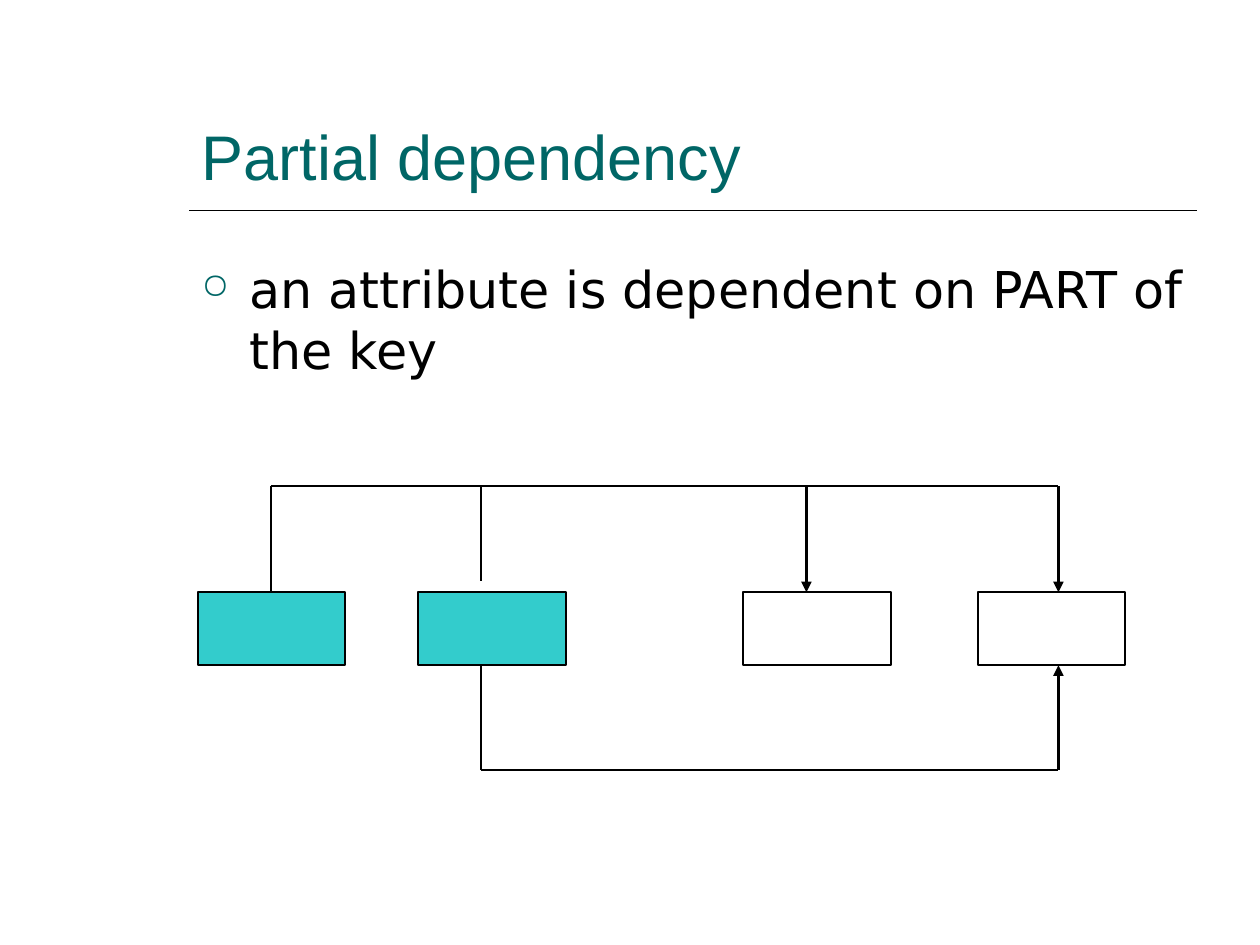
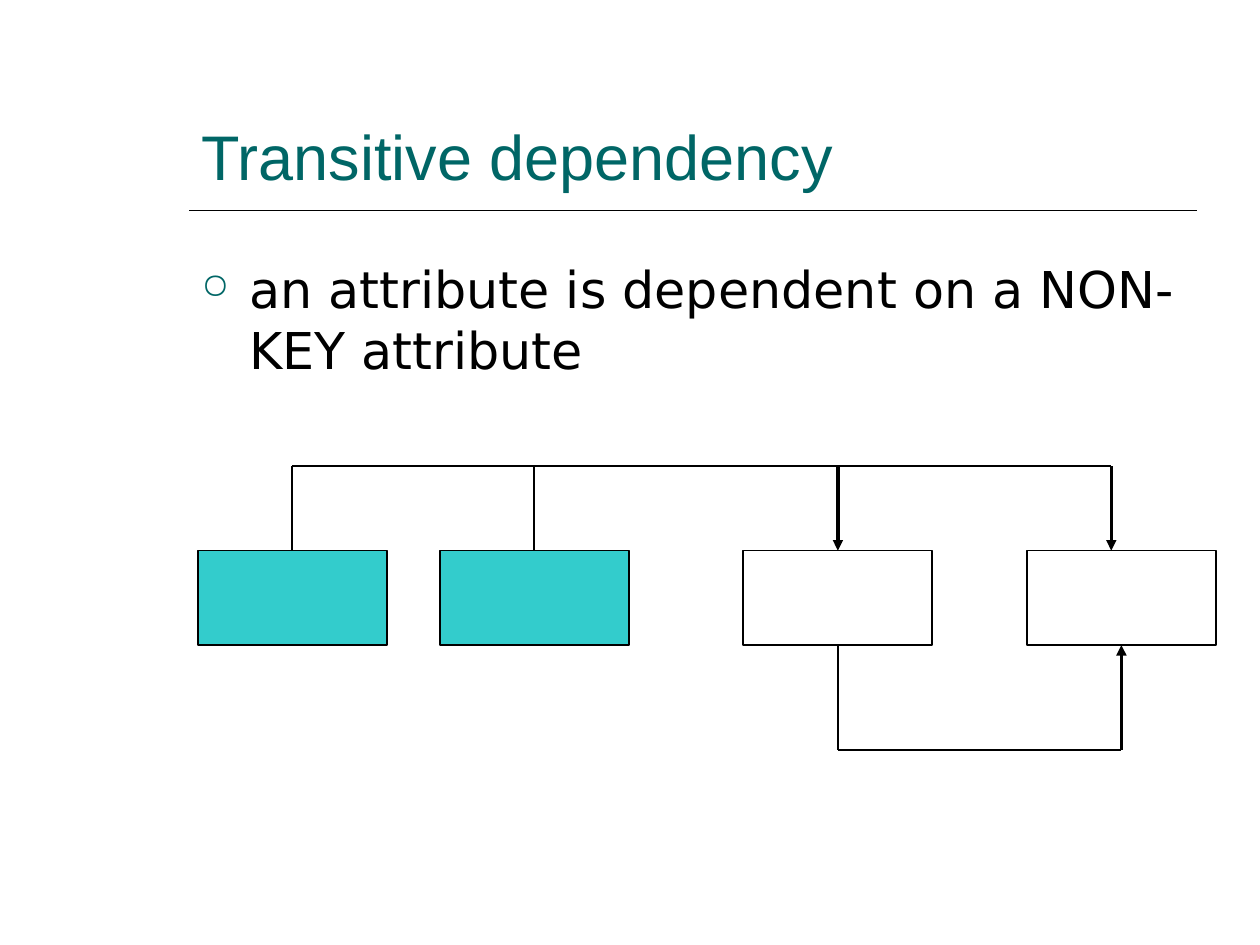
from lxml.etree import SubElement as Sub
from pptx import Presentation
from pptx.dml.color import RGBColor as RGB
from pptx.enum.shapes import MSO_CONNECTOR as Link, MSO_SHAPE as Form
from pptx.enum.text import MSO_ANCHOR as Anchor, MSO_AUTO_SIZE as Fit, PP_ALIGN as Align
from pptx.oxml.ns import qn
from pptx.util import Inches, Pt

TEAL, AQUA, BLACK = "006666", "33CCCC", "000000"


def write(frame, text, size=29, font="DejaVu Sans", color=BLACK, anchor=Anchor.TOP, before=0, bullet=None):
    frame.word_wrap = True
    frame.auto_size = Fit.NONE
    frame.vertical_anchor = anchor
    para = frame.paragraphs[0]
    para.alignment = Align.LEFT
    para.space_before = Pt(before)
    run = para.add_run()
    run.text = text
    run.font.size = Pt(size)
    run.font.name = font
    run.font.color.rgb = RGB.from_string(color)
    if bullet:
        props = para._p.get_or_add_pPr()
        props.set("marL", str(Inches(0.38)))
        props.set("indent", str(-Inches(0.38)))
        Sub(Sub(props, qn("a:buClr")), qn("a:srgbClr"), val=TEAL)
        Sub(props, qn("a:buSzPct"), val="70000")
        Sub(props, qn("a:buChar"), char=bullet)


def draw(slide, x1, y1, x2, y2, arrow=False):
    line = slide.shapes.add_connector(Link.STRAIGHT, Inches(x1), Inches(y1), Inches(x2), Inches(y2))
    line.line.color.rgb = RGB.from_string(BLACK)
    line.line.width = Pt(2 if arrow else 1)
    if arrow:
        Sub(line.line._get_or_add_ln(), qn("a:tailEnd"), type="triangle")
    Sub(line._element.spPr, qn("a:effectLst"))


pages = [
    dict(title="Partial dependency",
         text="an attribute is dependent on PART of the key",
         lefts=[1.57, 3.32, 5.9, 7.76], wide=1.17, high=0.58, top=4.7,
         roof=3.86, spans=[(2.15, 3.9), (3.82, 8.4)],
         stems=[(2.15, 4.7), (3.82, 4.61)], drops=[6.4, 8.4],
         floor=6.11, start=3.82, end=8.4),
    dict(title="Transitive dependency",
         text="an attribute is dependent on a NON-KEY attribute",
         lefts=[1.57, 3.49, 5.9, 8.15], wide=1.5, high=0.75, top=4.37,
         roof=3.7, spans=[(2.32, 8.82)],
         stems=[(2.32, 4.37), (4.24, 4.37)], drops=[6.65, 8.82],
         floor=5.95, start=6.65, end=8.9),
]

deck = Presentation()
deck.slide_width, deck.slide_height = Inches(10), Inches(7.5)

for page in pages:
    slide = deck.slides.add_slide(deck.slide_layouts[5])
    draw(slide, 1.5, 1.67, 9.5, 1.67)

    title = slide.shapes.title
    title.left, title.top, title.width, title.height = map(Inches, (1.5, 0.33, 8, 1.25))
    write(title.text_frame, page["title"], size=36, font="Arial", color=TEAL, anchor=Anchor.BOTTOM)

    body = slide.shapes.add_textbox(*map(Inches, (1.5, 2, 8, 4.5)))
    write(body.text_frame, page["text"], before=7.3, bullet="○")

    top, roof, floor = page["top"], page["roof"], page["floor"]
    base = top + page["high"]
    for spot, left in enumerate(page["lefts"]):
        box = slide.shapes.add_shape(Form.RECTANGLE, *map(Inches, (left, top, page["wide"], page["high"])))
        box.shadow.inherit = False
        box.line.color.rgb = RGB.from_string(BLACK)
        box.line.width = Pt(1)
        if spot < 2:
            box.fill.solid()
            box.fill.fore_color.rgb = RGB.from_string(AQUA)
        else:
            box.fill.background()

    for x1, x2 in page["spans"]:
        draw(slide, x1, roof, x2, roof)
    for x, foot in page["stems"]:
        draw(slide, x, roof, x, foot)
    for x in page["drops"]:
        draw(slide, x, roof, x, top, arrow=True)

    start, end = page["start"], page["end"]
    draw(slide, start, base, start, floor)
    draw(slide, start, floor, end, floor)
    draw(slide, end, floor, end, base, arrow=True)

deck.save("out.pptx")
